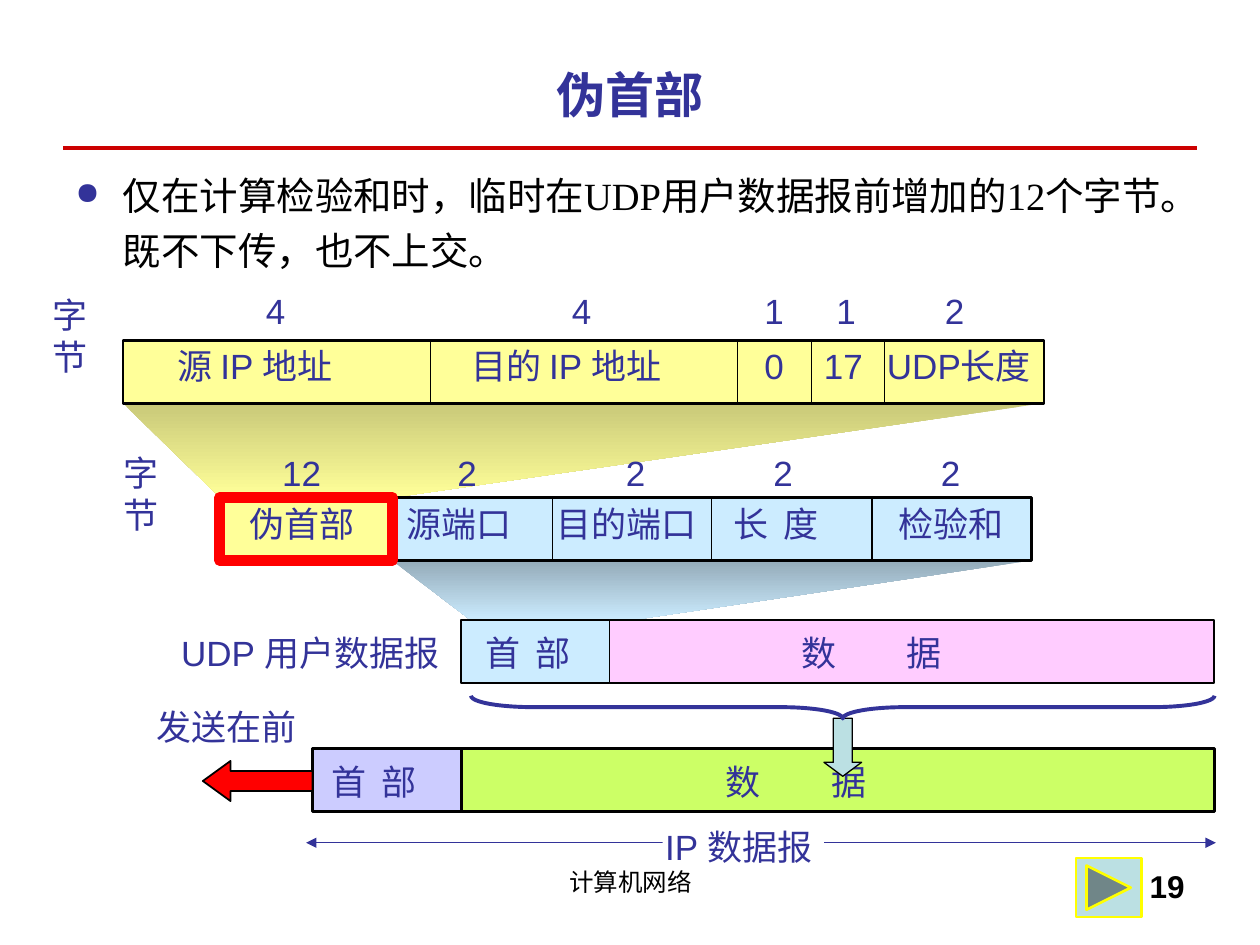
from pptx import Presentation
from pptx.util import Cm, Pt
from pptx.dml.color import RGBColor as Rgb
from pptx.enum.shapes import MSO_SHAPE as Kind, MSO_CONNECTOR as Link
from pptx.enum.text import PP_ALIGN as Align, MSO_ANCHOR as Anchor
from pptx.oxml.ns import qn
from lxml.etree import SubElement as Sub

COL = {
    "ink": "333399", "black": "000000", "white": "FFFFFF", "rule": "CC0000",
    "red": "FF0000", "cream": "FFFF99", "olive": "C9C979", "sky": "CCECFF",
    "slate": "94ABB9", "pink": "FFCCFF", "lime": "CCFF66", "lilac": "CCCCFF",
    "teal": "BBE0E3", "gold": "FFFF00",
}
HIGH = 1.27  # height of every field row

TITLE = "伪首部"
BODY = "仅在计算检验和时，临时在UDP用户数据报前增加的12个字节。既不下传，也不上交。"

# Funnels between rows: points, top colour, bottom colour
FUNNELS = [
    ([(7.91, 11.3), (20.78, 11.3), (12.62, 12.52), (9.45, 12.47)], "slate", "sky"),
    ([(2.48, 8.13), (21.03, 8.13), (7.92, 10.03), (4.44, 10.03)], "olive", "cream"),
]
# Field bars: left, top, width, fill, line width, inner dividers
BARS = [
    (2.48, 6.86, 18.57, "cream", 1.5, [8.68, 14.86, 16.36, 17.83]),
    (7.92, 10.03, 12.87, "sky", 1.5, [11.14, 14.35, 17.58]),
    (9.3, 12.5, 2.99, "sky", 1, []),
    (12.29, 12.5, 12.19, "pink", 1, []),
    (9.3, 15.09, 15.19, "lime", 1.5, []),
    (6.3, 15.09, 3, "lilac", 1.5, []),
]
# Labels by row: top, then (text, left, width)
LABELS = [
    (5.79, [("字节", 0.81, 1.9)]),
    (5.72, [("4", 5.11, 0.89), ("4", 11.28, 0.89), ("1", 15.16, 0.89),
            ("1", 16.61, 0.89), ("2", 18.8, 0.89)]),
    (6.83, [("源 IP 地址", 3.33, 4.17), ("目的 IP 地址", 9.25, 4.88),
            ("0", 15.16, 0.89), ("17", 16.36, 1.3), ("UDP长度", 17.63, 3.58)]),
    (8.98, [("字节", 2.24, 1.9), ("12", 5.44, 1.3), ("2", 8.97, 0.89),
            ("2", 12.37, 0.89), ("2", 15.34, 0.89), ("2", 18.72, 0.89)]),
    (10.01, [("伪首部", 4.78, 2.62), ("源端口", 7.95, 2.62),
             ("目的端口", 10.97, 3.33), ("长\t度", 14.53, 2.62),
             ("检验和", 17.86, 2.62)]),
    (12.6, [("UDP 用户数据报", 3.4, 5.89), ("首\t部", 9.53, 2.62),
            ("数\t据", 15.9, 5.11)]),
    (14.1, [("发送在前", 2.9, 3.33)]),
    (15.21, [("首\t部", 6.43, 2.62), ("数\t据", 14.38, 5.11)]),
    (16.51, [("IP 数据报", 13.16, 3.66)]),
]

deck = Presentation()
deck.slide_width, deck.slide_height = Cm(25.4), Cm(19.05)
page = deck.slides.add_slide(deck.slide_layouts[6]).shapes


def paint(item, fill=None, line=None, width=1):
    item.shadow.inherit = False
    if fill:
        item.fill.solid()
        item.fill.fore_color.rgb = Rgb.from_string(COL[fill])
    else:
        item.fill.background()
    if line:
        item.line.color.rgb = Rgb.from_string(COL[line])
        item.line.width = Pt(width)
    else:
        item.line.fill.background()


def shape(kind, box, *look, adj=()):
    item = page.add_shape(kind, *map(Cm, box))
    paint(item, *look)
    for i, val in enumerate(adj):
        item.adjustments[i] = val
    return item


def wire(x1, y1, x2, y2, tone, width):
    item = page.add_connector(Link.STRAIGHT, *map(Cm, (x1, y1, x2, y2)))
    item.line.color.rgb = Rgb.from_string(COL[tone])
    item.line.width = Pt(width)
    Sub(item._element.spPr, qn("a:effectLst"))
    return item


def write(text, box, size=20, tone="ink", face="Arial", bold=False,
          align=Align.LEFT, wrap=True, tab=None):
    frame = page.add_textbox(*map(Cm, box)).text_frame
    frame.word_wrap = wrap
    frame.text = text
    para = frame.paragraphs[0]
    para.alignment = align
    if tab:
        tabs = Sub(para._p.get_or_add_pPr(), qn("a:tabLst"))
        Sub(tabs, qn("a:tab"), pos=str(Cm(tab)), algn="l")
    for run in para.runs:
        font = run.font
        font.size, font.name, font.bold = Pt(size), face, bold
        font.color.rgb = Rgb.from_string(COL[tone])
    return frame


# Heading, rule and bullet
head = write(TITLE, (1.27, 0.85, 22.86, 2.1), 28, face="Times New Roman",
             bold=True, align=Align.CENTER)
head.vertical_anchor = Anchor.MIDDLE
wire(1.27, 2.98, 24.13, 2.98, "rule", 2)
para = write(BODY, (1.27, 3.15, 22.86, 2.8), 22, "black",
             "Times New Roman").paragraphs[0]
para.line_spacing = 1.2
props = para._p.get_or_add_pPr()
props.set("marL", str(Cm(0.96)))
props.set("indent", str(-Cm(0.96)))
Sub(Sub(props, qn("a:buClr")), qn("a:srgbClr"), val=COL["ink"])
Sub(props, qn("a:buSzPct"), val="80000")
Sub(props, qn("a:buChar"), char="●")

# Funnels
for pts, top, low in FUNNELS:
    pen = page.build_freeform(*map(Cm, pts[0]), scale=1.0)
    pen.add_line_segments([(Cm(x), Cm(y)) for x, y in pts[1:]], close=True)
    item = pen.convert_to_shape()
    paint(item)
    item.fill.gradient()
    item.fill.gradient_angle = 270
    for stop, tone in zip(item.fill.gradient_stops, (top, low)):
        stop.color.rgb = Rgb.from_string(COL[tone])

# Field bars, dividers and the framed pseudo header
for x, y, wide, fill, width, cuts in BARS:
    shape(Kind.RECTANGLE, (x, y, wide, HIGH), fill, "black", width)
    for cut in cuts:
        wire(cut, y, cut, y + HIGH, "black", 0.75)
shape(Kind.RECTANGLE, (4.43, 10.03, 3.48, HIGH), "cream", "red", 6)

# Span of the whole datagram
span = wire(6.17, 16.99, 24.51, 16.99, "ink", 0.75)
ends = span.line._get_or_add_ln()
for tip in ("a:headEnd", "a:tailEnd"):
    Sub(ends, qn(tip), type="triangle")
shape(Kind.RECTANGLE, (13.36, 16.59, 3.25, 0.81), "white")

# Labels
for y, row in LABELS:
    for text, x, wide in row:
        gap = "\t" in text
        tab = (2.13 if "数" in text else 1.01) if gap else None
        write(text, (x, y, wide, 1.12), wrap=gap, tab=tab)

# Arrows and brace
shape(Kind.LEFT_ARROW, (4.09, 15.34, 2.21, 0.81), "red", "black", 1,
      adj=(0.5, 0.69))
shape(Kind.DOWN_ARROW, (16.61, 14.48, 0.76, 1.17), "teal", "black", 0.75,
      adj=(0.5, 0.37))
brace = shape(Kind.LEFT_BRACE, (16.76, 6.76, 0.46, 14.99), None, "ink", 2.25,
              adj=(2.72, 0.5))
brace.rotation = 270

# Footer, page number and next button
write("计算机网络", (8.69, 17.35, 8.05, 1.32), 14, "black", align=Align.CENTER)
write("19", (18.21, 17.35, 5.92, 1.32), 18, "black", bold=True, align=Align.RIGHT)
shape(Kind.ACTION_BUTTON_FORWARD_OR_NEXT, (21.69, 17.3, 1.32, 1.19),
      "teal", "gold", 1.5)

deck.save("out.pptx")
